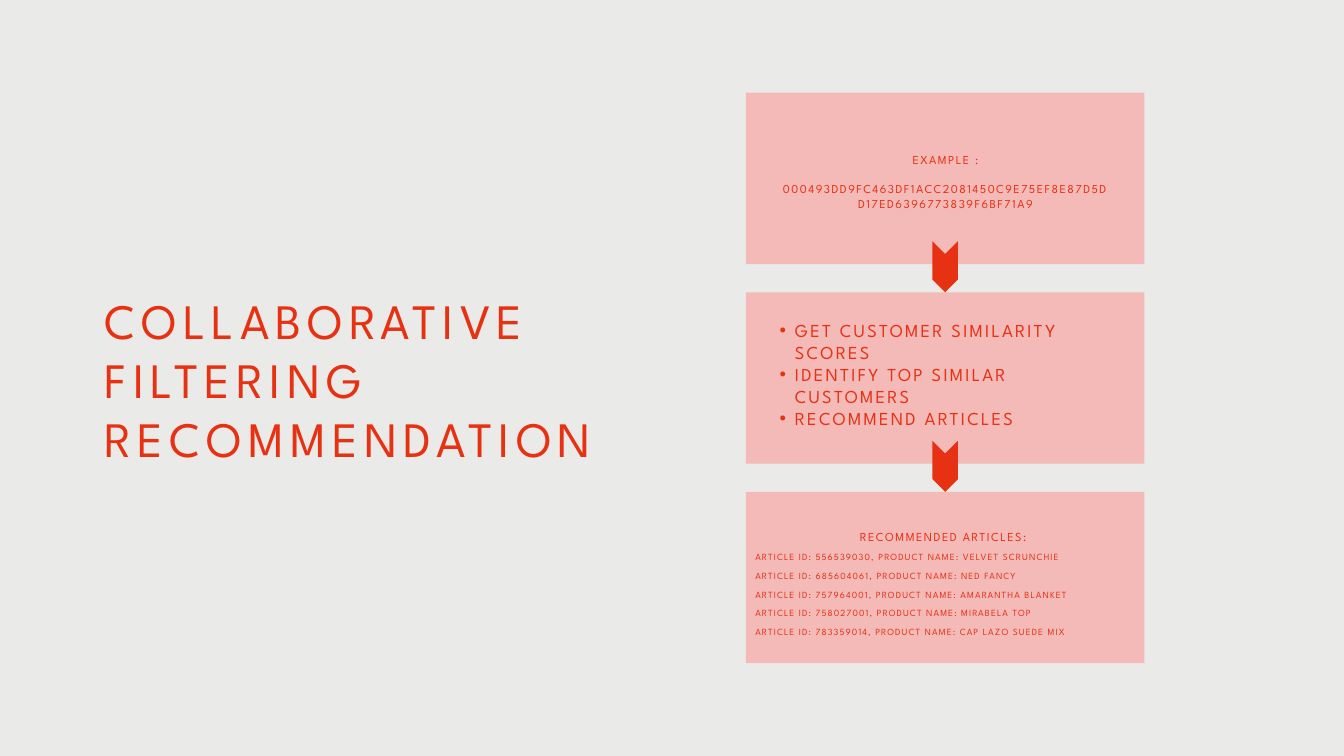
"""Builds the collaborative filtering slide: a title beside a three-step flow."""
from lxml import etree
from pptx import Presentation, util as u
from pptx.dml.color import RGBColor
from pptx.enum import shapes, text
from pptx.oxml.ns import qn

RED = RGBColor(0xE7, 0x31, 0x13)
PINK = RGBColor(0xF3, 0xBA, 0xB8)
GREY = RGBColor(0xEA, 0xEB, 0xE8)
FONT = "League Spartan"
LEFT, CENTER = text.PP_ALIGN.LEFT, text.PP_ALIGN.CENTER

BOX_X, BOX_Y, BOX_W, BOX_H = 11.1, 1.38, 5.93, 2.55
ROW = 2.97
ARROW_W, ARROW_H = 0.76, 0.38


def add_block(s, kind, x, y, w, h, color):
    sp = s.shapes.add_shape(kind, u.Inches(x), u.Inches(y), u.Inches(w), u.Inches(h))
    sp.shadow.inherit = False
    sp.fill.solid()
    sp.fill.fore_color.rgb = color
    sp.line.fill.background()
    return sp


def add_text(s, x, y, w, h, lines, size, spacing, leading, align=LEFT, tf=None):
    new = tf is None
    if new:
        tf = s.shapes.add_textbox(u.Inches(x), u.Inches(y), u.Inches(w), u.Inches(h)).text_frame
        tf.word_wrap = True
        tf.margin_left = tf.margin_right = tf.margin_top = tf.margin_bottom = 0
    for i, line in enumerate(lines):
        p = tf.paragraphs[0] if new and i == 0 else tf.add_paragraph()
        p.alignment = align
        p.line_spacing = u.Pt(leading)
        r = p.add_run()
        r.text = line
        r.font.name = FONT
        r.font.size = u.Pt(size)
        r.font.color.rgb = RED
        r.font._element.set("spc", str(round(spacing * 100)))
    return tf


prs = Presentation()
prs.slide_width, prs.slide_height = u.Inches(20), u.Inches(11.25)
s = prs.slides.add_slide(prs.slide_layouts[6])
s.background.fill.solid()
s.background.fill.fore_color.rgb = GREY

for row in range(3):
    add_block(s, shapes.MSO_SHAPE.RECTANGLE, BOX_X, BOX_Y + row * ROW, BOX_W, BOX_H, PINK)

for row in (1, 2):
    tip = BOX_Y + row * ROW
    sp = add_block(s, shapes.MSO_SHAPE.CHEVRON, BOX_X + (BOX_W - ARROW_W) / 2,
                   tip - (ARROW_W + ARROW_H) / 2, ARROW_W, ARROW_H, RED)
    sp.rotation = 90

title = ["COLLABORATIVE FILTERING", "RECOMMENDATION"]
add_text(s, 1.56, 4.31, 8.99, 2.62, title, 53, 6.4, 63.6)

example = ["EXAMPLE :", "000493DD9FC463DF1ACC2081450C9E75EF8E87D5DD17ED6396773839F6BF71A9"]
tf = add_text(s, 11.64, 2.27, 4.86, 0.88, example, 13, 1.6, 15.6, CENTER)
tf.paragraphs[0].space_after = u.Pt(15.6)

steps = ["GET CUSTOMER SIMILARITY SCORES", "IDENTIFY TOP SIMILAR CUSTOMERS", "RECOMMEND ARTICLES"]
tf = add_text(s, 11.37, 4.75, 5.39, 1.94, steps, 19.6, 2.4, 23.6)
for p in tf.paragraphs:
    pPr = p._p.get_or_add_pPr()
    pPr.set("marL", str(u.Inches(0.46)))
    pPr.set("indent", str(u.Inches(-0.23)))
    etree.SubElement(pPr, qn("a:buFont"), typeface="Arial")
    etree.SubElement(pPr, qn("a:buChar"), char="•")

articles = [
    ("556539030", "VELVET SCRUNCHIE"),
    ("685604061", "NED FANCY"),
    ("757964001", "AMARANTHA BLANKET"),
    ("758027001", "MIRABELA TOP"),
    ("783359014", "CAP LAZO SUEDE MIX"),
]
tf = add_text(s, 11.24, 7.74, 5.66, 1.69, ["RECOMMENDED ARTICLES: "], 13.1, 1.6, 25.8, CENTER)
lines = [f"ARTICLE ID: {number}, PRODUCT NAME: {name}" for number, name in articles]
add_text(s, 11.24, 7.74, 5.66, 1.69, lines, 10.1, 1.2, 19.9, tf=tf)

prs.save("out.pptx")
